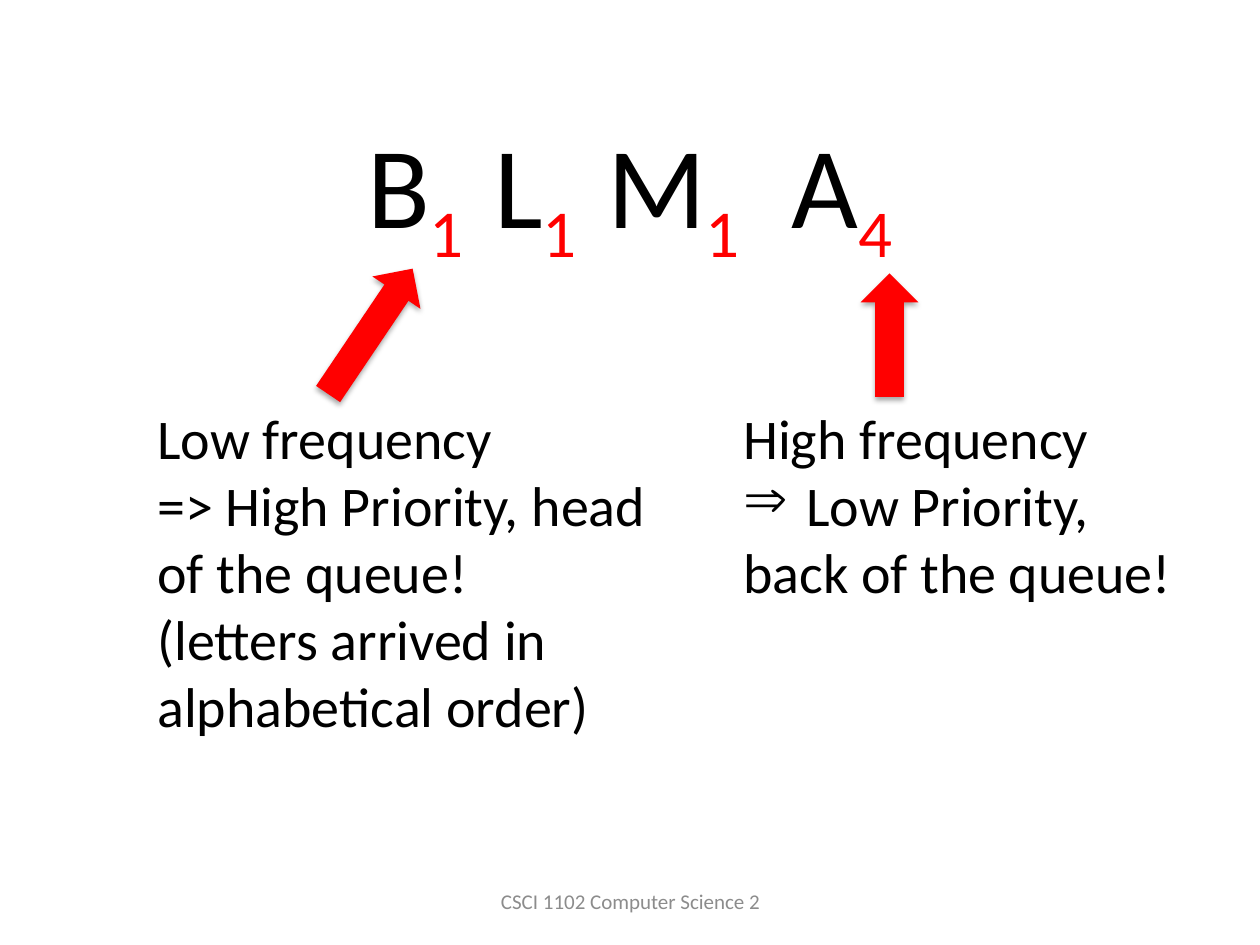
from dataclasses import dataclass

from lxml.etree import SubElement
from pptx import Presentation
from pptx.dml.color import RGBColor
from pptx.enum.shapes import MSO_SHAPE
from pptx.enum.text import MSO_ANCHOR, MSO_AUTO_SIZE, PP_ALIGN
from pptx.oxml.ns import qn
from pptx.util import Inches, Pt

FONT = "Calibri"
COLORS = {"text": "000000", "accent": "FF0000", "footer": "8C8C8C", "shadow": "000000"}


@dataclass
class Box:
    left: float
    top: float
    width: float
    height: float

    def lengths(self):
        return [Inches(v) for v in (self.left, self.top, self.width, self.height)]


@dataclass
class Note:
    box: Box
    lines: list[str]
    wrap: bool = True
    bullet_line: int | None = None


@dataclass
class Arrow:
    box: Box
    rotation: float = 0


TITLE_RUNS = [("B", False), ("1  ", True), ("L", False), ("1  ", True),
              ("M", False), ("1", True), ("  A", False), ("4", True)]
NOTES = [
    Note(Box(1.15, 3.15, 4.09, 2.79),
         ["Low frequency", "=> High Priority, head of the queue!",
          "(letters arrived in", "alphabetical order)"]),
    Note(Box(5.8, 3.15, 3.64, 1.72),
         ["High frequency", "Low Priority,", "back of the queue!"],
         wrap=False, bullet_line=1),
]
ARROWS = [Arrow(Box(2.71, 2.03, 0.46, 1.2), 34), Arrow(Box(6.83, 2.17, 0.46, 0.98))]


def style_font(font, size: float, color: str) -> None:
    font.name = FONT
    font.size = Pt(size)
    font.color.rgb = RGBColor.from_string(COLORS[color])


def add_text_frame(slide, box: Box, wrap: bool = True):
    text_frame = slide.shapes.add_textbox(*box.lengths()).text_frame
    text_frame.word_wrap = wrap
    return text_frame


def add_centered_line(slide, box: Box):
    text_frame = add_text_frame(slide, box)
    text_frame.vertical_anchor = MSO_ANCHOR.MIDDLE
    paragraph = text_frame.paragraphs[0]
    paragraph.alignment = PP_ALIGN.CENTER
    return paragraph


def add_bullet(paragraph, character: str, indent: float) -> None:
    properties = paragraph._p.get_or_add_pPr()
    properties.set("marL", str(Inches(indent)))
    properties.set("indent", str(Inches(-indent)))
    SubElement(properties, qn("a:buChar"), char=character)


def add_note(slide, note: Note) -> None:
    text_frame = add_text_frame(slide, note.box, note.wrap)
    text_frame.auto_size = MSO_AUTO_SIZE.SHAPE_TO_FIT_TEXT
    text_frame.text = "\n".join(note.lines)
    for index, paragraph in enumerate(text_frame.paragraphs):
        if index == note.bullet_line:
            add_bullet(paragraph, "⇒", 0.5)
        for run in paragraph.runs:
            style_font(run.font, 32, "text")


def add_arrow(slide, arrow: Arrow) -> None:
    shape = slide.shapes.add_shape(MSO_SHAPE.UP_ARROW, *arrow.box.lengths())
    shape.rotation = arrow.rotation
    shape.fill.solid()
    shape.fill.fore_color.rgb = RGBColor.from_string(COLORS["accent"])
    shape.line.fill.background()
    # Soft shadow straight below the arrow
    shape.shadow.inherit = False
    effects = shape._element.spPr.find(qn("a:effectLst"))
    shadow = SubElement(effects, qn("a:outerShdw"), blurRad=str(Pt(3.1)),
                        dist=str(Pt(1.8)), dir="5400000", rotWithShape="0")
    color = SubElement(shadow, qn("a:srgbClr"), val=COLORS["shadow"])
    SubElement(color, qn("a:alpha"), val="35000")


def main() -> None:
    presentation = Presentation()
    presentation.slide_width = Inches(10)
    presentation.slide_height = Inches(7.5)
    slide = presentation.slides.add_slide(presentation.slide_layouts[6])

    # Footer
    paragraph = add_centered_line(slide, Box(3.42, 6.95, 3.17, 0.4))
    paragraph.text = "CSCI 1102 Computer Science 2"
    style_font(paragraph.runs[0].font, 12, "footer")

    # Letters with their frequencies as subscripts
    paragraph = add_centered_line(slide, Box(0.5, 0.9, 9, 1.25))
    for text, is_subscript in TITLE_RUNS:
        run = paragraph.add_run()
        run.text = text
        style_font(run.font, 66, "accent" if is_subscript else "text")
        if is_subscript:
            run.font._element.set("baseline", "-25000")

    # Explanations and the arrows to the queue's ends
    for note in NOTES:
        add_note(slide, note)
    for arrow in ARROWS:
        add_arrow(slide, arrow)

    presentation.save("out.pptx")


if __name__ == "__main__":
    main()
